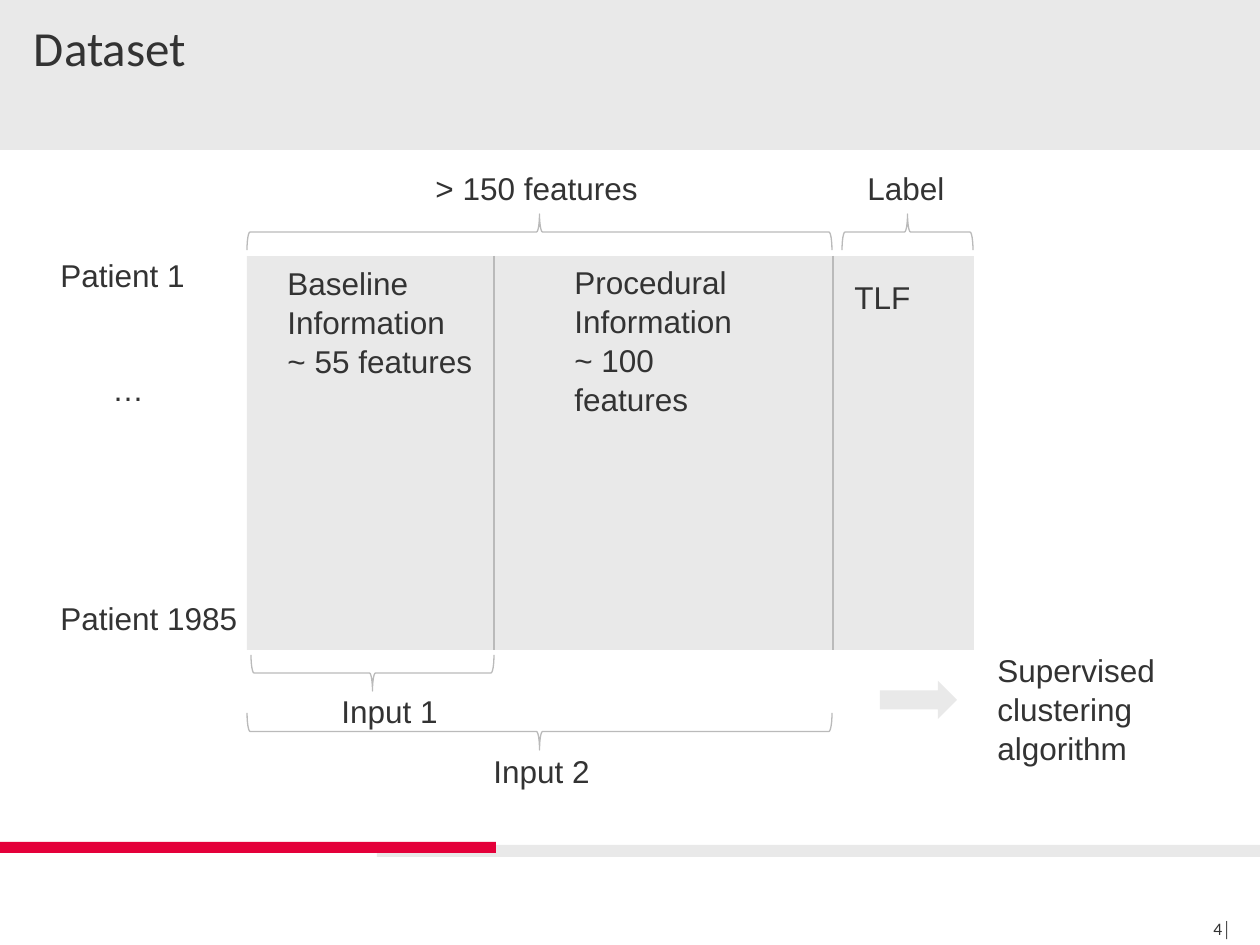
from dataclasses import dataclass

from lxml.etree import SubElement
from pptx import Presentation
from pptx.dml.color import RGBColor
from pptx.enum.shapes import MSO_CONNECTOR, MSO_SHAPE
from pptx.enum.text import MSO_ANCHOR, MSO_AUTO_SIZE, PP_ALIGN
from pptx.oxml.ns import qn
from pptx.shapes.autoshape import Shape
from pptx.slide import Slide
from pptx.text.text import TextFrame
from pptx.util import Emu, Pt


@dataclass(frozen=True)
class Theme:
    ink: RGBColor = RGBColor(0x33, 0x33, 0x33)
    panel: RGBColor = RGBColor(0xE9, 0xE9, 0xE9)
    rule: RGBColor = RGBColor(0xBA, 0xBA, 0xBA)
    accent: RGBColor = RGBColor(0xE4, 0x00, 0x3A)
    heading_font: str = "Calibri"
    body_font: str = "Arial"
    title_size: int = 28
    body_size: int = 18
    number_size: int = 10
    line_width: float = 0.75
    line_spacing: float = 1.04


@dataclass(frozen=True)
class Box:
    left: int
    top: int
    width: int
    height: int


@dataclass(frozen=True)
class Line:
    text: str
    space_before: int = 0
    indent: int = 0


@dataclass(frozen=True)
class Label:
    box: Box
    lines: tuple[Line, ...]


@dataclass(frozen=True)
class Brace:
    box: Box
    rotation: int


THEME = Theme()
PIXELS_PER_INCH = 126
UP, DOWN = 270, 90

TITLE = Box(34, 15, 1191, 118)
BANNER = Box(0, 0, 1260, 150)
FOOTER_RULE = Box(377, 845, 883, 12)
FOOTER_ACCENT = Box(0, 842, 496, 11)
PAGE_NUMBER = Box(1123, 911, 108, 34)
DATASET = Box(247, 256, 727, 394)
DIVIDERS = (494, 833)
ARROW = Box(880, 681, 77, 38)

BRACES = (
    Brace(Box(842, 214, 131, 36), UP),
    Brace(Box(247, 214, 585, 36), UP),
    Brace(Box(251, 655, 243, 36), DOWN),
    Brace(Box(247, 713, 585, 37), DOWN),
)

LABELS = (
    Label(Box(842, 270, 91, 50), (Line("TLF"),)),
    Label(Box(562, 255, 227, 165), (Line("Procedural Information"), Line("~ 100 features"))),
    Label(Box(275, 256, 231, 127), (Line("Baseline Information"), Line("~ 55 features"))),
    Label(Box(855, 161, 106, 50), (Line("Label"),)),
    Label(Box(423, 161, 236, 50), (Line("> 150 features"),)),
    Label(
        Box(48, 248, 224, 394),
        (Line("Patient 1"), Line("…", 43, 52), Line("Patient 1985", 108)),
    ),
    Label(Box(329, 684, 136, 50), (Line("Input 1"),)),
    Label(Box(481, 744, 130, 50), (Line("Input 2"),)),
    Label(Box(985, 643, 209, 127), (Line("Supervised clustering algorithm"),)),
)


def px(length: float) -> Emu:
    return Emu(round(length * 914400 / PIXELS_PER_INCH))


def frame(box: Box) -> tuple[Emu, Emu, Emu, Emu]:
    return px(box.left), px(box.top), px(box.width), px(box.height)


def write(text_frame: TextFrame, lines: tuple[Line, ...], font: str, size: int) -> None:
    for index, line in enumerate(lines):
        paragraph = text_frame.paragraphs[0] if index == 0 else text_frame.add_paragraph()
        paragraph.alignment = PP_ALIGN.LEFT
        paragraph.line_spacing = THEME.line_spacing
        paragraph.space_before = Pt(line.space_before)
        if line.indent:
            paragraph._p.get_or_add_pPr().set("marL", str(px(line.indent)))
        run = paragraph.add_run()
        run.text = line.text
        run.font.name = font
        run.font.size = Pt(size)
        run.font.color.rgb = THEME.ink


def remove_margins(text_frame: TextFrame) -> None:
    text_frame.margin_left = text_frame.margin_right = 0
    text_frame.margin_top = text_frame.margin_bottom = 0


def add_filled(slide: Slide, kind: MSO_SHAPE, box: Box, color: RGBColor) -> Shape:
    shape = slide.shapes.add_shape(kind, *frame(box))
    shape.shadow.inherit = False
    shape.fill.solid()
    shape.fill.fore_color.rgb = color
    shape.line.fill.background()
    return shape


def add_divider(slide: Slide, x: int, top: int, bottom: int) -> None:
    connector = slide.shapes.add_connector(
        MSO_CONNECTOR.STRAIGHT, px(x), px(top), px(x), px(bottom)
    )
    connector.line.color.rgb = THEME.rule
    connector.line.width = Pt(THEME.line_width)
    SubElement(connector._element.spPr, qn("a:effectLst"))


def add_brace(slide: Slide, brace: Brace) -> None:
    box = brace.box
    offset = (box.width - box.height) / 2
    shape = slide.shapes.add_shape(
        MSO_SHAPE.RIGHT_BRACE,
        px(box.left + offset), px(box.top - offset), px(box.height), px(box.width),
    )
    shape.rotation = brace.rotation
    shape.shadow.inherit = False
    shape.fill.background()
    shape.line.color.rgb = THEME.rule
    shape.line.width = Pt(THEME.line_width)


def add_label(slide: Slide, label: Label) -> None:
    text_frame = slide.shapes.add_textbox(*frame(label.box)).text_frame
    text_frame.word_wrap = True
    text_frame.auto_size = MSO_AUTO_SIZE.SHAPE_TO_FIT_TEXT
    write(text_frame, label.lines, THEME.body_font, THEME.body_size)


def add_title(slide: Slide) -> None:
    title = slide.shapes.title
    title.left, title.top, title.width, title.height = frame(TITLE)
    text_frame = title.text_frame
    remove_margins(text_frame)
    text_frame.auto_size = MSO_AUTO_SIZE.NONE
    text_frame.vertical_anchor = MSO_ANCHOR.TOP
    write(text_frame, (Line("Dataset"),), THEME.heading_font, THEME.title_size)
    banner = add_filled(slide, MSO_SHAPE.RECTANGLE, BANNER, THEME.panel)
    title.element.addprevious(banner.element)


def add_page_number(slide: Slide) -> None:
    text_frame = slide.shapes.add_textbox(*frame(PAGE_NUMBER)).text_frame
    remove_margins(text_frame)
    text_frame.word_wrap = True
    text_frame.vertical_anchor = MSO_ANCHOR.MIDDLE
    write(text_frame, (Line("4│"),), THEME.heading_font, THEME.number_size)
    text_frame.paragraphs[0].alignment = PP_ALIGN.RIGHT


def main() -> None:
    presentation = Presentation()
    presentation.slide_width, presentation.slide_height = px(1260), px(945)
    slide = presentation.slides.add_slide(presentation.slide_layouts[5])
    add_title(slide)
    add_filled(slide, MSO_SHAPE.RECTANGLE, FOOTER_RULE, THEME.panel)
    add_filled(slide, MSO_SHAPE.RECTANGLE, FOOTER_ACCENT, THEME.accent)
    add_page_number(slide)
    add_filled(slide, MSO_SHAPE.RECTANGLE, DATASET, THEME.panel)
    for x in DIVIDERS:
        add_divider(slide, x, DATASET.top, DATASET.top + DATASET.height)
    for brace in BRACES:
        add_brace(slide, brace)
    for label in LABELS:
        add_label(slide, label)
    add_filled(slide, MSO_SHAPE.RIGHT_ARROW, ARROW, THEME.panel)
    presentation.save("out.pptx")


if __name__ == "__main__":
    main()
